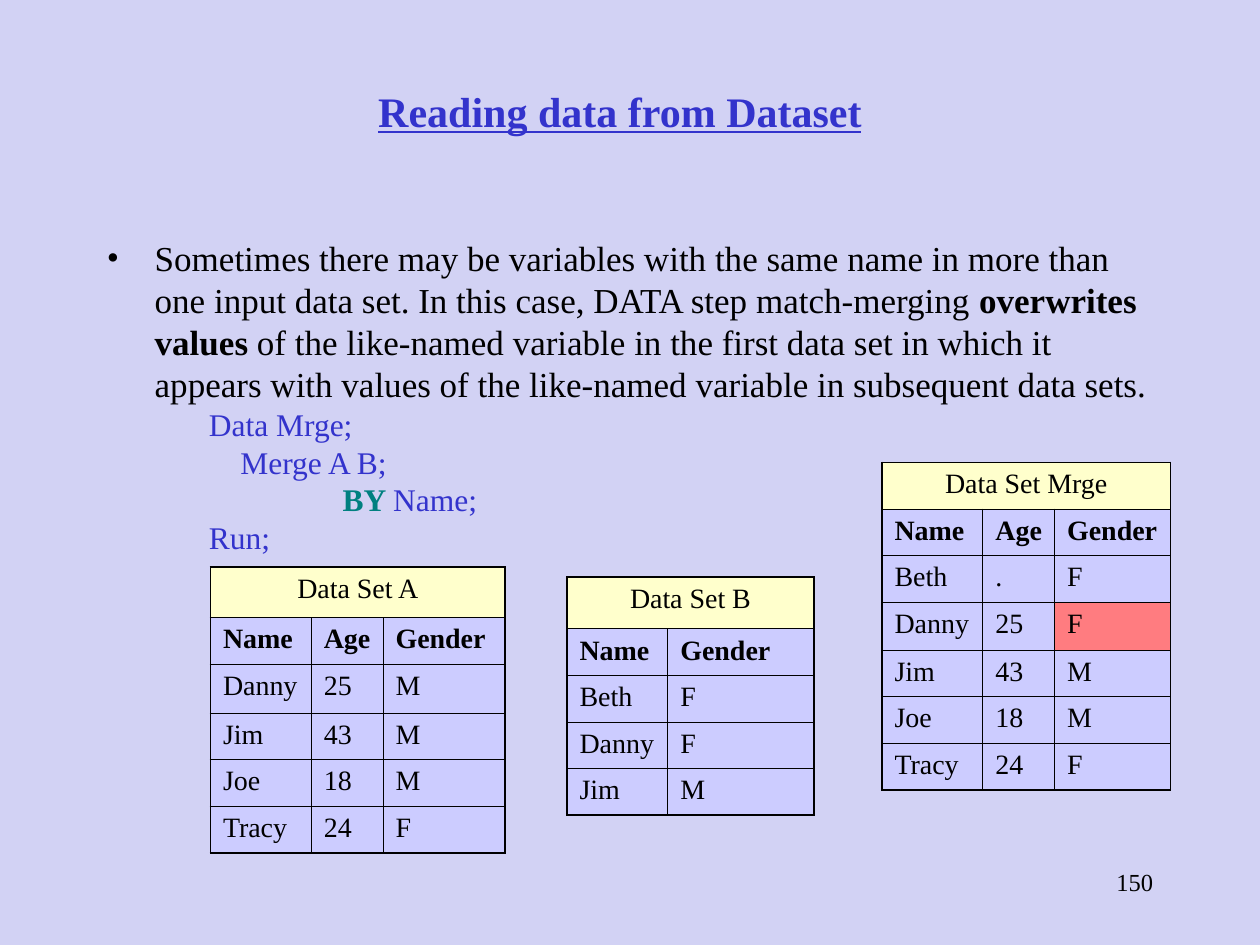
from lxml.etree import SubElement
from pptx import Presentation
from pptx.dml.color import RGBColor
from pptx.enum.text import MSO_ANCHOR as Anchor, PP_ALIGN as Align
from pptx.oxml.ns import qn
from pptx.util import Inches, Pt

FONT = "Times New Roman"
COLORS = {
    "background": "D2D2F4",
    "text": "000000",
    "accent": "3333CC",
    "keyword": "008080",
    "header": "FFFFCC",
    "cell": "CCCCFF",
    "overwritten": "FF7C80",
}
THIN, THICK = 0.45, 1.08
NAME_WIDTH, AGE_WIDTH = 0.8, 0.57


def color(name):
    return RGBColor.from_string(COLORS[name])


def add_text(paragraph, text, size=16, fill="text", bold=False, underline=False, align=None):
    if align is not None:
        paragraph.alignment = align
    run = paragraph.add_run()
    run.text = text
    font = run.font
    font.name, font.size = FONT, Pt(size)
    font.bold, font.underline = bold, underline
    font.color.rgb = color(fill)


def set_indent(paragraph, left, hanging=0):
    properties = paragraph._p.get_or_add_pPr()
    properties.set("marL", str(Inches(left)))
    properties.set("indent", str(-Inches(hanging)))
    return properties


def add_bullet(properties):
    SubElement(properties, qn("a:buFont"), typeface=FONT)
    SubElement(properties, qn("a:buChar"), char="•")


def add_box(slide, left, top, width, height):
    shape = slide.shapes.add_textbox(Inches(left), Inches(top), Inches(width), Inches(height))
    shape.text_frame.word_wrap = True
    return shape.text_frame


def add_title(slide, text):
    title = slide.shapes.title
    title.left, title.top = Inches(0.67), Inches(0.5)
    title.width, title.height = Inches(8.5), Inches(0.75)
    title.text_frame.vertical_anchor = Anchor.MIDDLE
    add_text(title.text_frame.paragraphs[0], text, size=24, fill="accent",
             bold=True, underline=True, align=Align.CENTER)


def add_body(slide, sentence, code_lines):
    frame = add_box(slide, 0.75, 1.83, 8.5, 4.5)
    paragraph = frame.paragraphs[0]
    add_bullet(set_indent(paragraph, 0.38, 0.38))
    for text, bold in sentence:
        add_text(paragraph, text, size=20, bold=bold)
    for left, runs in code_lines:
        paragraph = frame.add_paragraph()
        set_indent(paragraph, left)
        for text, fill in runs:
            add_text(paragraph, text, size=18, fill=fill, bold=fill == "keyword")


def set_borders(cell, **widths):
    properties = cell._tc.get_or_add_tcPr()
    for position, side in enumerate("LRTB"):
        line = properties.makeelement(qn(f"a:ln{side}"), {"w": str(Pt(widths[side]))})
        solid = SubElement(line, qn("a:solidFill"))
        SubElement(solid, qn("a:srgbClr"), val=COLORS["text"])
        properties.insert(position, line)


def add_data_set(slide, left, top, widths, heights, caption, records, overwritten=None):
    rows = [[caption] + [""] * (len(widths) - 1)] + records
    last_row, last_column = len(rows) - 1, len(widths) - 1
    frame = slide.shapes.add_table(len(rows), len(widths), Inches(left), Inches(top),
                                   Inches(sum(widths)), Inches(sum(heights)))
    table = frame.table
    table.first_row = table.horz_banding = False
    for column, width in zip(table.columns, widths):
        column.width = Inches(width)
    for row, height in zip(table.rows, heights):
        row.height = Inches(height)
    table.cell(0, 0).merge(table.cell(0, last_column))
    for r, values in enumerate(rows):
        for c, value in enumerate(values):
            cell = table.cell(r, c)
            name = "header" if r == 0 else "overwritten" if (r, c) == overwritten else "cell"
            cell.fill.solid()
            cell.fill.fore_color.rgb = color(name)
            set_borders(cell,
                        L=THICK if c == 0 else THIN,
                        R=THICK if r == 0 or c == last_column else THIN,
                        T=THICK if r == 0 else THIN,
                        B=THICK if r == last_row else THIN)
            if value:
                add_text(cell.text_frame.paragraphs[0], value, bold=r == 1,
                         align=Align.CENTER if r == 0 else Align.LEFT)


def main():
    presentation = Presentation()
    presentation.slide_width, presentation.slide_height = Inches(10), Inches(7.5)
    slide = presentation.slides.add_slide(presentation.slide_layouts[5])
    slide.background.fill.solid()
    slide.background.fill.fore_color.rgb = color("background")

    add_title(slide, "Reading data from Dataset")
    sentence = [
        ("Sometimes there may be variables with the same name in more than one input data set. "
         "In this case, DATA step match-merging ", False),
        ("overwrites values", True),
        (" of the like-named variable in the first data set in which it appears with values "
         "of the like-named variable in subsequent data sets.", False),
    ]
    code_lines = [
        (0.81, [("Data Mrge;", "accent")]),
        (0.81, [("    Merge A B;", "accent")]),
        (1.81, [(" BY ", "keyword"), ("Name;", "accent")]),
        (0.81, [("Run;", "accent")]),
    ]
    add_body(slide, sentence, code_lines)

    columns = ["Name", "Age", "Gender"]
    shared = [["Jim", "43", "M"], ["Joe", "18", "M"], ["Tracy", "24", "F"]]
    add_data_set(slide, 1.67, 4.5, [NAME_WIDTH, AGE_WIDTH, 0.97], [0.4, 0.37, 0.39] + [0.37] * 3,
                 "Data Set A", [columns, ["Danny", "25", "M"]] + shared)
    add_data_set(slide, 4.5, 4.58, [NAME_WIDTH, 1.16], [0.41] + [0.37] * 4,
                 "Data Set B", [["Name", "Gender"], ["Beth", "F"], ["Danny", "F"], ["Jim", "M"]])
    add_data_set(slide, 7, 3.67, [NAME_WIDTH, AGE_WIDTH, 0.92], [0.37] * 3 + [0.38] + [0.37] * 3,
                 "Data Set Mrge", [columns, ["Beth", ".", "F"], ["Danny", "25", "F"]] + shared,
                 overwritten=(3, 2))

    page_number = add_box(slide, 7.17, 6.83, 2.08, 0.5)
    add_text(page_number.paragraphs[0], "150", size=14, align=Align.RIGHT)
    presentation.save("out.pptx")


if __name__ == "__main__":
    main()
